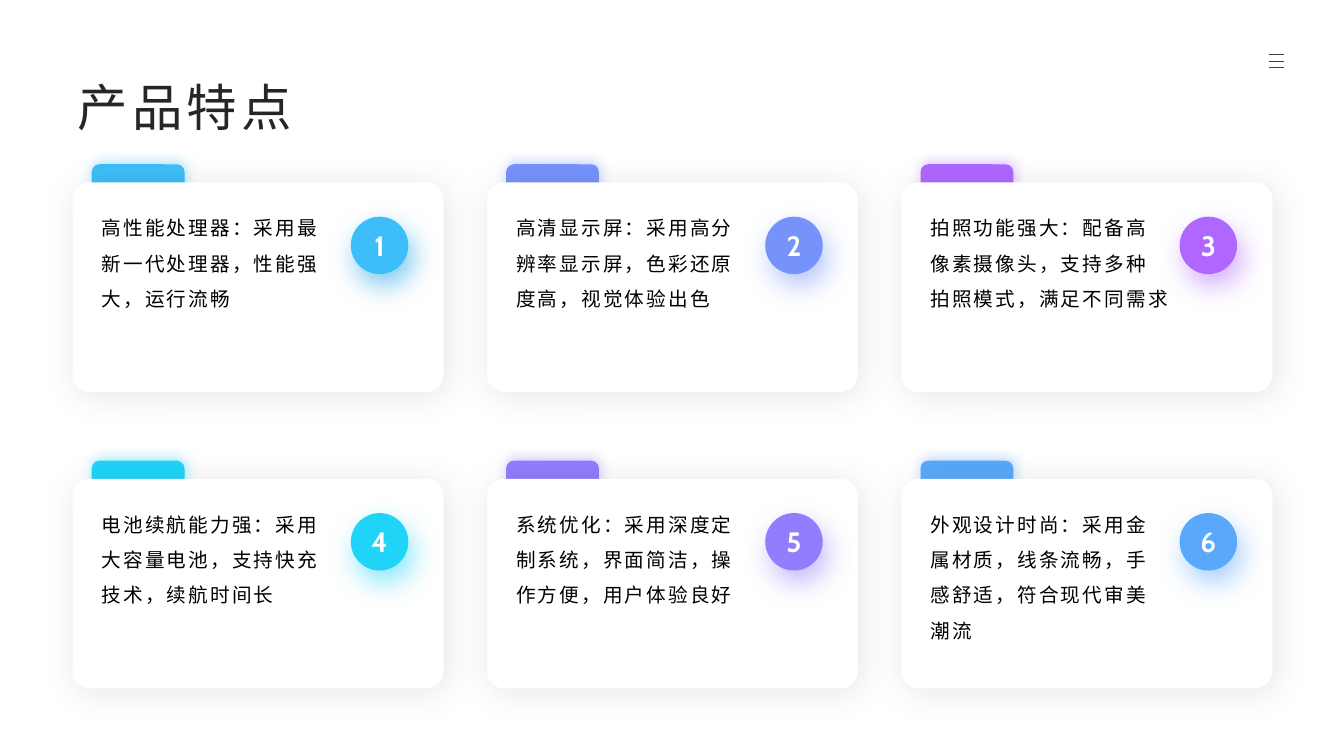
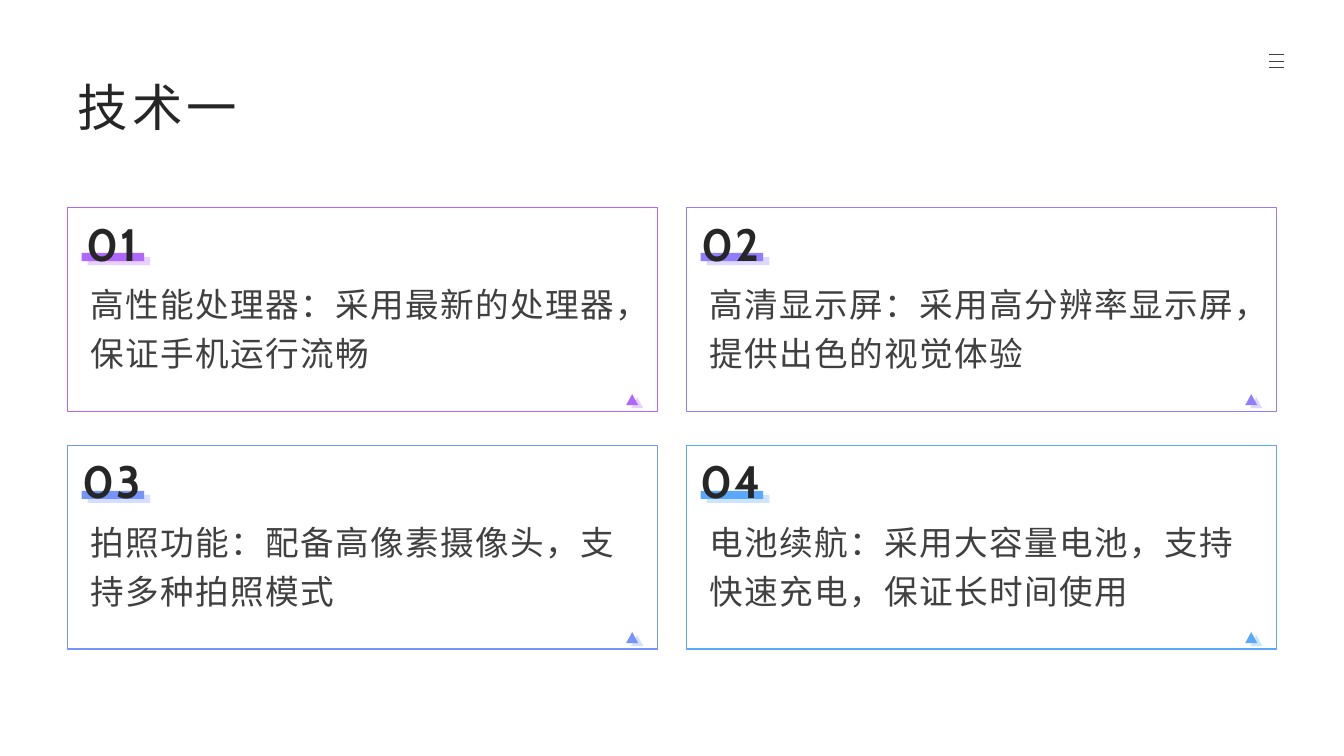
from lxml import etree
from pptx import Presentation
from pptx.dml.color import RGBColor
from pptx.enum.shapes import MSO_CONNECTOR, MSO_SHAPE
from pptx.enum.text import MSO_ANCHOR, MSO_AUTO_SIZE, PP_ALIGN
from pptx.oxml.ns import qn
from pptx.util import Inches, Pt

RECT, ROUND = MSO_SHAPE.RECTANGLE, MSO_SHAPE.ROUNDED_RECTANGLE
OVAL, TRIANGLE = MSO_SHAPE.OVAL, MSO_SHAPE.ISOSCELES_TRIANGLE
STRAIGHT = MSO_CONNECTOR.STRAIGHT
TOP, MIDDLE, BOTTOM = MSO_ANCHOR.TOP, MSO_ANCHOR.MIDDLE, MSO_ANCHOR.BOTTOM
LEFT, CENTER = PP_ALIGN.LEFT, PP_ALIGN.CENTER
NO_FIT = MSO_AUTO_SIZE.NONE

COLORS = {
    "ink": "262626", "grey": "404040", "black": "000000", "white": "FFFFFF",
    "sky": "3DBEF9", "deep_sky": "079DE2", "indigo": "7693FC", "purple": "AF67FF",
    "cyan": "20D4F8", "violet": "927DFE", "blue": "59A8FB",
}
HEAD_FONT, TEXT_FONT = "Cabin", "Arial"
TITLE_BOX = (0.67, 0.67, 12, 0.77)

FEATURE_GRID = {"left": 0.72, "top": 1.81, "columns": 3, "step_x": 4.11, "step_y": 2.94}
FEATURE_SIZE = (3.68, 2.08)
FEATURES = [
    ("sky", "高性能处理器：采用最新一代处理器，性能强大，运行流畅"),
    ("indigo", "高清显示屏：采用高分辨率显示屏，色彩还原度高，视觉体验出色"),
    ("purple", "拍照功能强大：配备高像素摄像头，支持多种拍照模式，满足不同需求"),
    ("cyan", "电池续航能力强：采用大容量电池，支持快充技术，续航时间长"),
    ("violet", "系统优化：采用深度定制系统，界面简洁，操作方便，用户体验良好"),
    ("blue", "外观设计时尚：采用金属材质，线条流畅，手感舒适，符合现代审美潮流"),
]

PANEL_GRID = {"left": 0.67, "top": 2.06, "columns": 2, "step_x": 6.14, "step_y": 2.36}
PANEL_SIZE = (5.85, 2.02)
PANELS = [
    ("purple", "高性能处理器：采用最新的处理器，保证手机运行流畅"),
    ("violet", "高清显示屏：采用高分辨率显示屏，提供出色的视觉体验"),
    ("indigo", "拍照功能：配备高像素摄像头，支持多种拍照模式"),
    ("blue", "电池续航：采用大容量电池，支持快速充电，保证长时间使用"),
]


def rgb(name):
    return RGBColor.from_string(COLORS[name])


def place(shape, box):
    shape.left, shape.top, shape.width, shape.height = map(Inches, box)


def grid_cell(index, left, top, columns, step_x, step_y):
    row, column = divmod(index, columns)
    return left + column * step_x, top + row * step_y


def add_alpha(color_node, percent):
    etree.SubElement(color_node, qn("a:alpha"), val=str(percent * 1000))


def write(shape, text, size, color, font=HEAD_FONT, bold=False, spacing=0,
          align=LEFT, anchor=TOP, line_spacing=1.0):
    frame = shape.text_frame
    frame.word_wrap = True
    frame.auto_size = NO_FIT
    frame.vertical_anchor = anchor
    para = frame.paragraphs[0]
    para.alignment = align
    para.line_spacing = line_spacing
    span = para.add_run()
    span.text = text
    span.font.size = Pt(size)
    span.font.bold = bold
    span.font.color.rgb = rgb(color)
    span.font.name = font
    marks = span.font.language_id = None
    marks = span._r.get_or_add_rPr()
    marks.set("lang", "zh-CN")
    marks.set("spc", str(int(spacing * 100)))
    marks.find(qn("a:latin")).addnext(etree.Element(qn("a:ea"), typeface=font))


def add_text(page, box, text, **style):
    write(page.shapes.add_textbox(*map(Inches, box)), text, **style)


def add_shadow(shape, color, alpha, blur, distance, angle):
    effects = shape._element.spPr.find(qn("a:effectLst"))
    outer = etree.SubElement(
        effects, qn("a:outerShdw"), blurRad=str(Pt(blur)), dist=str(Pt(distance)),
        dir=str(angle * 60000), algn="ctr", rotWithShape="0")
    add_alpha(etree.SubElement(outer, qn("a:srgbClr"), val=COLORS[color]), alpha)


def add_block(page, kind, box, fill=None, line=None, alpha=None, shadow=None):
    shape = page.shapes.add_shape(kind, *map(Inches, box))
    shape.shadow.inherit = False
    if kind == ROUND:
        shape.adjustments[0] = 0.083
    if fill:
        shape.fill.solid()
        shape.fill.fore_color.rgb = rgb(fill)
        if alpha:
            add_alpha(shape._element.spPr.find(qn("a:solidFill"))[0], alpha)
    else:
        shape.fill.background()
    if line:
        shape.line.color.rgb = rgb(line)
        shape.line.width = Pt(1)
    else:
        shape.line.fill.background()
    if shadow:
        add_shadow(shape, *shadow)
    return shape


def add_menu_icon(page, layout):
    for y in (0.54, 0.61, 0.67):
        bar = page.shapes.add_connector(
            STRAIGHT, Inches(12.59), Inches(y), Inches(12.74), Inches(y))
        bar.line.color.rgb = rgb("grey")
        bar.line.width = Pt(1)
        etree.SubElement(bar._element.spPr, qn("a:effectLst"))
        layout.shapes.element.append(bar._element)


def add_page(deck, layout, title):
    page = deck.slides.add_slide(layout)
    write(page.shapes.title, title, size=36, color="ink", spacing=3, anchor=MIDDLE)
    return page


def add_feature_card(page, left, top, number, color, text):
    glow = "deep_sky" if color == "sky" else color
    add_block(page, ROUND, (left + 0.19, top - 0.18, 0.92, 0.93), color,
              shadow=(color, 40, 9, 2, 300))
    add_block(page, ROUND, (left, top, *FEATURE_SIZE), "white",
              shadow=("black", 10, 25, 3, 45))
    badge = add_block(page, OVAL, (left + 2.76, top + 0.34, 0.57, 0.57), color,
                      shadow=(glow, 52, 20, 9, 67))
    write(badge, str(number), size=20, color="white", bold=True,
          align=CENTER, anchor=MIDDLE)
    add_text(page, (left + 0.19, top + 0.17, 2.57, 1.61), text, size=14,
             color="black", font=TEXT_FONT, spacing=1.5, line_spacing=1.5)


def add_panel(page, left, top, number, color, text):
    add_block(page, RECT, (left, top, *PANEL_SIZE), line=color)
    for kind, x, y, width, height in ((RECT, 0.14, 0.45, 0.62, 0.08),
                                      (TRIANGLE, 5.54, 1.85, 0.12, 0.11)):
        offset = 0.06 if kind == RECT else 0.05
        drop = 0.04 if kind == RECT else 0.03
        add_block(page, kind, (left + x + offset, top + y + drop, width, height),
                  color, alpha=30)
        add_block(page, kind, (left + x, top + y, width, height), color)
    add_text(page, (left + 0.13, top + 0.63, 5.46, 1.3), text, size=24,
             color="grey", spacing=1, line_spacing=1.2)
    add_text(page, (left + 0.02, top - 0.04, 0.84, 0.71), f"{number:02d}", size=32.4,
             color="ink", bold=True, spacing=1.5, align=CENTER, anchor=BOTTOM,
             line_spacing=1.1)


def fill_grid(page, grid, items, add_item):
    for index, (color, text) in enumerate(items):
        left, top = grid_cell(index, **grid)
        add_item(page, left, top, index + 1, color, text)


def main():
    deck = Presentation()
    deck.slide_width, deck.slide_height = Inches(13.33), Inches(7.5)
    layout = deck.slide_layouts.get_by_name("Title Only")
    place(layout.placeholders[0], TITLE_BOX)

    features = add_page(deck, layout, "产品特点")
    add_menu_icon(features, layout)
    fill_grid(features, FEATURE_GRID, FEATURES, add_feature_card)

    technology = add_page(deck, layout, "技术一")
    fill_grid(technology, PANEL_GRID, PANELS, add_panel)

    deck.save("out.pptx")


if __name__ == "__main__":
    main()
